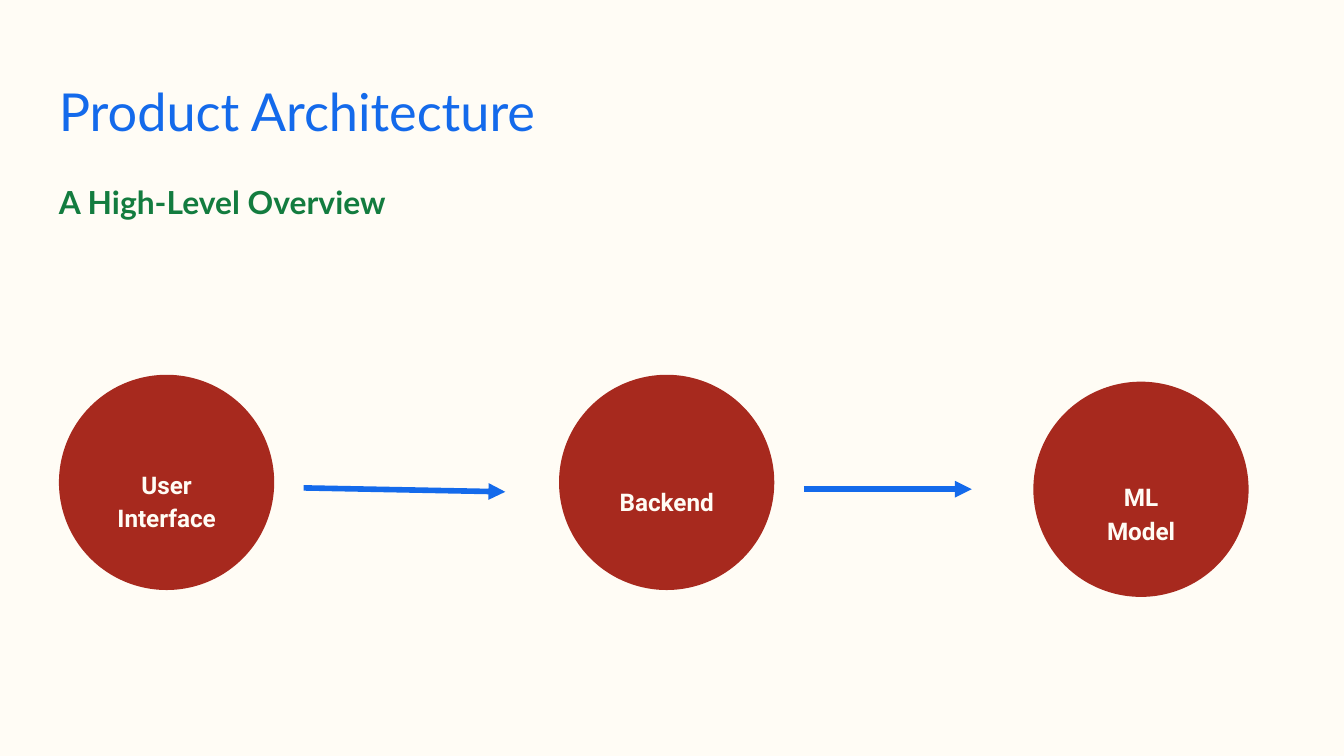
from lxml.etree import SubElement
from pptx import Presentation
from pptx.dml.color import RGBColor
from pptx.enum.shapes import MSO_CONNECTOR, MSO_SHAPE
from pptx.enum.text import MSO_ANCHOR, PP_ALIGN
from pptx.oxml.ns import qn
from pptx.util import Pt

CREAM = RGBColor(0xFF, 0xFC, 0xF5)
BLUE = RGBColor(0x14, 0x6A, 0xEB)
GREEN = RGBColor(0x13, 0x7C, 0x3F)
RED = RGBColor(0xA7, 0x29, 0x1E)

TITLE = {"name": "Lato", "size": Pt(28), "bold": False}
SUBTITLE = {"name": "Lato", "size": Pt(17), "bold": True}
LABEL = {"name": "Roboto", "size": Pt(13), "bold": True}
LABEL_PARAGRAPH = {"alignment": PP_ALIGN.CENTER, "line_spacing": 1.15, "space_after": Pt(16)}

DIAMETER = 112.3
LABEL_HEIGHT = 78.5
NODES = [
    ("User\vInterface", 33.1, 202.3, 25.9),
    ("Backend", 301, 202.3, 25.9),
    ("ML\vModel", 555.1, 206, 28.7),
]
ARROWS = [(162.7, 261.4, 270.7, 263.5), (430.6, 262.1, 520.6, 262.1)]


def set_all(target, values):
    for key, value in values.items():
        setattr(target, key, value)


def add_text(s, box, text, font, color, paragraph, anchor=MSO_ANCHOR.TOP):
    tf = s.shapes.add_textbox(*map(Pt, box)).text_frame
    margins = dict.fromkeys(("margin_left", "margin_top", "margin_right", "margin_bottom"), Pt(7.2))
    set_all(tf, {"word_wrap": True, "vertical_anchor": anchor, **margins})
    p = tf.paragraphs[0]
    p.text = text
    set_all(p, paragraph)
    for r in p.runs:
        set_all(r.font, font)
        r.font.color.rgb = color
    for br in p._p.findall(qn("a:br")):
        SubElement(br, qn("a:rPr"), sz=str(int(font["size"].pt * 100)))


def add_heading(s, left, top, width):
    add_text(s, (left, top, width, 48.2), "Product Architecture", TITLE, BLUE, {})
    add_text(s, (left, top + 55.4, width, 35.3), "A High-Level Overview",
             SUBTITLE, GREEN, {"space_after": Pt(12)})


def add_node(s, text, left, top, label_offset):
    sp = s.shapes.add_shape(MSO_SHAPE.OVAL, *map(Pt, (left, top, DIAMETER, DIAMETER)))
    sp.shadow.inherit = False
    sp.fill.solid()
    sp.fill.fore_color.rgb = RED
    sp.line.color.rgb = RED
    sp.line.width = Pt(3)
    add_text(s, (left, top + label_offset, DIAMETER, LABEL_HEIGHT), text,
             LABEL, CREAM, LABEL_PARAGRAPH, MSO_ANCHOR.MIDDLE)


def add_arrow(s, *ends):
    line = s.shapes.add_connector(MSO_CONNECTOR.STRAIGHT, *map(Pt, ends))
    line.line.color.rgb = BLUE
    line.line.width = Pt(3)
    SubElement(line.line._get_or_add_ln(), qn("a:tailEnd"), type="triangle")
    SubElement(line._element.spPr, qn("a:effectLst"))


def main():
    prs = Presentation()
    prs.slide_width, prs.slide_height = Pt(720), Pt(405)
    s = prs.slides.add_slide(prs.slide_layouts[6])
    s.background.fill.solid()
    s.background.fill.fore_color.rgb = CREAM
    add_heading(s, 24.5, 35.3, 671)
    for node in NODES:
        add_node(s, *node)
    for arrow in ARROWS:
        add_arrow(s, *arrow)
    prs.save("out.pptx")


if __name__ == "__main__":
    main()
